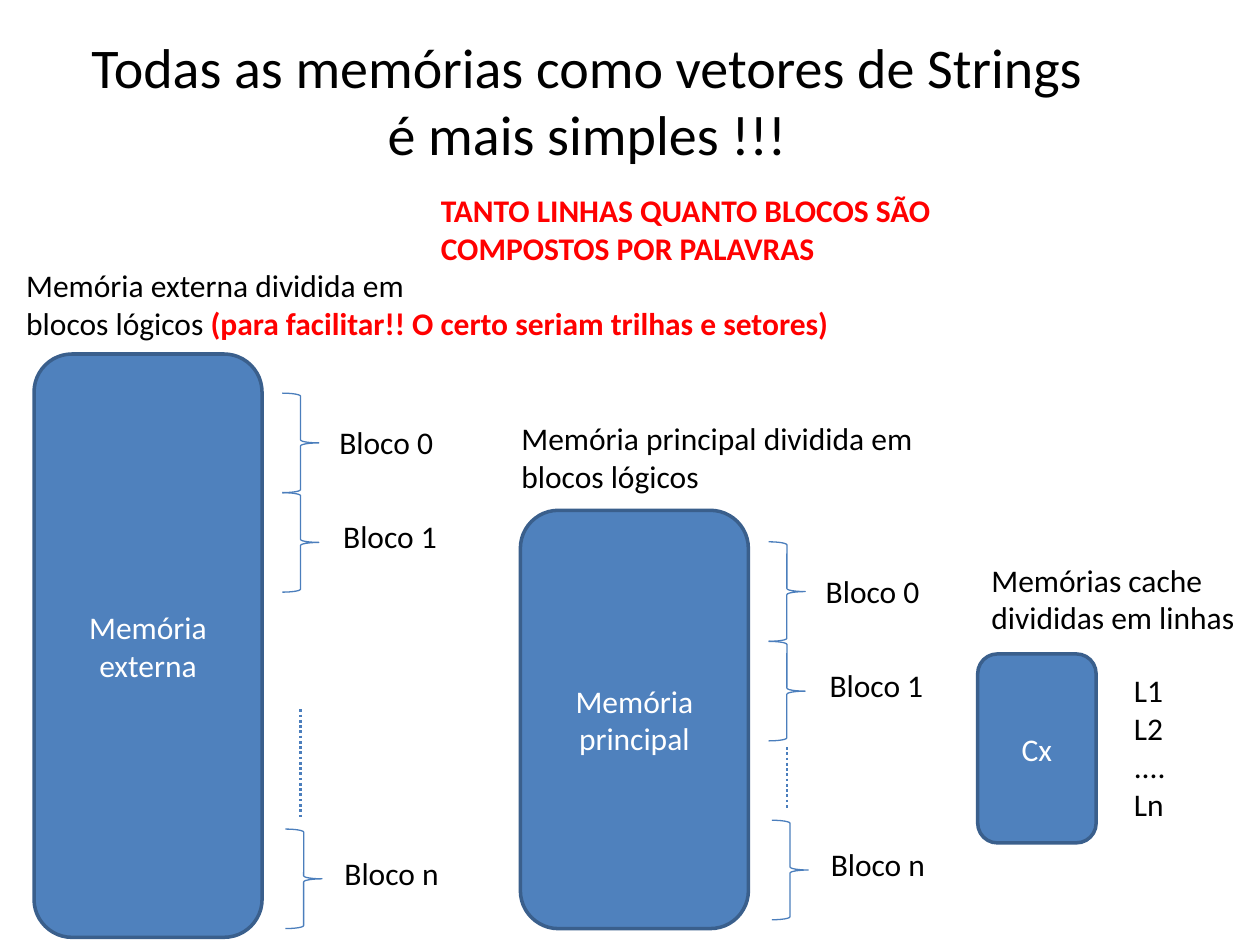
from dataclasses import dataclass

from lxml import etree
from pptx import Presentation
from pptx.dml.color import RGBColor
from pptx.enum.dml import MSO_LINE
from pptx.enum.shapes import MSO_CONNECTOR, MSO_SHAPE
from pptx.enum.text import MSO_ANCHOR, MSO_AUTO_SIZE, PP_ALIGN
from pptx.oxml.ns import qn
from pptx.util import Inches, Pt

ROUNDED = MSO_SHAPE.ROUNDED_RECTANGLE
BRACE = MSO_SHAPE.RIGHT_BRACE
STRAIGHT = MSO_CONNECTOR.STRAIGHT
DOTTED = MSO_LINE.ROUND_DOT
LEFT, CENTER = PP_ALIGN.LEFT, PP_ALIGN.CENTER
MIDDLE = MSO_ANCHOR.MIDDLE
GROW = MSO_AUTO_SIZE.SHAPE_TO_FIT_TEXT

BLACK, WHITE, RED = "000000", "FFFFFF", "FF0000"
BLUE, EDGE, ACCENT = "4F81BD", "3A5F8C", "4B7EBC"

WIDTH, HEIGHT = Inches(10), Inches(7.5)
COLUMNS, ROWS = 100, 75
BRACE_WIDTH, BLOCK_HEIGHT = 2.9, 7.9
LABEL_WIDTH, LABEL_HEIGHT = 9.5, 4


@dataclass(frozen=True)
class Span:
    text: str
    color: str = BLACK
    bold: bool = False
    size: int = 18


@dataclass(frozen=True)
class Box:
    col: float
    row: float
    cols: float
    rows: float


@dataclass(frozen=True)
class Caption:
    box: Box
    lines: list[list[Span]]
    align: PP_ALIGN = LEFT


@dataclass(frozen=True)
class Memory:
    name: str
    box: Box


@dataclass(frozen=True)
class BlockList:
    col: float
    first_row: float
    last_row: float
    dots_start: float
    dots_end: float


def plain(*texts: str, **style) -> list[list[Span]]:
    return [[Span(text, **style)] for text in texts]


def rgb(value: str) -> RGBColor:
    return RGBColor.from_string(value)


def x(col: float) -> int:
    return round(WIDTH * col / COLUMNS)


def y(row: float) -> int:
    return round(HEIGHT * row / ROWS)


def place(box: Box) -> tuple[int, int, int, int]:
    return x(box.col), y(box.row), x(box.cols), y(box.rows)


def apply(target: object, formats: dict) -> None:
    for attribute, value in formats.items():
        setattr(target, attribute, value)


def write(frame, lines: list[list[Span]], align: PP_ALIGN) -> None:
    for index, spans in enumerate(lines):
        paragraph = frame.add_paragraph() if index else frame.paragraphs[0]
        paragraph.alignment = align
        for span in spans:
            run = paragraph.add_run()
            run.text = span.text
            apply(run.font, {"name": "Calibri", "size": Pt(span.size), "bold": span.bold})
            run.font.color.rgb = rgb(span.color)


def stroke(line, color: str, width: float) -> None:
    line.color.rgb = rgb(color)
    line.width = Pt(width)


def draw_caption(slide, caption: Caption) -> None:
    frame = slide.shapes.add_textbox(*place(caption.box)).text_frame
    apply(frame, {"word_wrap": False, "auto_size": GROW})
    write(frame, caption.lines, caption.align)


def draw_memory(slide, memory: Memory) -> None:
    body = slide.shapes.add_shape(ROUNDED, *place(memory.box))
    body.shadow.inherit = False
    body.fill.solid()
    body.fill.fore_color.rgb = rgb(BLUE)
    stroke(body.line, EDGE, 2)
    apply(body.text_frame, {"word_wrap": True, "vertical_anchor": MIDDLE})
    write(body.text_frame, plain(memory.name, color=WHITE), CENTER)


def draw_block(slide, name: str, col: float, row: float, indent: float, drop: float) -> None:
    brace = slide.shapes.add_shape(BRACE, *place(Box(col, row, BRACE_WIDTH, BLOCK_HEIGHT)))
    brace.shadow.inherit = False
    brace.fill.background()
    stroke(brace.line, ACCENT, 0.75)
    label = Box(col + indent, row + drop, LABEL_WIDTH, LABEL_HEIGHT)
    draw_caption(slide, Caption(label, plain(name)))


def draw_blocks(slide, blocks: BlockList) -> None:
    draw_block(slide, "Bloco 0", blocks.col, blocks.first_row, 3.55, 1.9)
    draw_block(slide, "Bloco 1", blocks.col, blocks.first_row + BLOCK_HEIGHT, 3.85, 1.45)
    draw_block(slide, "Bloco n", blocks.col + 0.25, blocks.last_row, 3.7, 1.5)
    middle = x(blocks.col + BRACE_WIDTH / 2)
    dots = slide.shapes.add_connector(
        STRAIGHT, middle, y(blocks.dots_start), middle, y(blocks.dots_end)
    )
    stroke(dots.line, ACCENT, 1.5)
    dots.line.dash_style = DOTTED
    etree.SubElement(dots._element.spPr, qn("a:effectLst"))


CAPTIONS = [
    Caption(
        Box(5.9, 2.1, 81.4, 11.8),
        plain("Todas as memórias como vetores de Strings", "é mais simples !!!", size=32),
        CENTER,
    ),
    Caption(
        Box(34, 14.7, 41.8, 7.1),
        plain("TANTO LINHAS QUANTO BLOCOS SÃO ", "COMPOSTOS POR PALAVRAS", color=RED, bold=True),
    ),
    Caption(
        Box(1.1, 20.6, 66.3, 7.1),
        [
            [Span("Memória externa dividida em ")],
            [
                Span("blocos lógicos "),
                Span("(para facilitar!! O certo seriam trilhas e setores)", RED, True),
            ],
        ],
    ),
    Caption(
        Box(40.4, 32.8, 34, 7.1),
        plain("Memória principal dividida em ", "blocos lógicos"),
    ),
    Caption(Box(77.7, 44, 21.5, 7.1), plain("Memórias cache ", "divididas em linhas")),
    Caption(Box(89, 52.8, 4.5, 13.1), plain("L1", "L2", "....", "Ln")),
]

MEMORIES = [
    Memory("Memória externa", Box(2.7, 28.1, 18.1, 46.3)),
    Memory("Memória principal", Box(41.3, 40.5, 18.1, 33.2)),
    Memory("Cx", Box(77.6, 51.9, 9.4, 15)),
]

BLOCK_LISTS = [
    BlockList(22.4, 31.2, 65.8, 56.3, 65),
    BlockList(61, 43, 65.1, 59.3, 64.3),
]

presentation = Presentation()
apply(presentation, {"slide_width": WIDTH, "slide_height": HEIGHT})
slide = presentation.slides.add_slide(presentation.slide_layouts[6])

for draw, parts in (
    (draw_caption, CAPTIONS),
    (draw_memory, MEMORIES),
    (draw_blocks, BLOCK_LISTS),
):
    for part in parts:
        draw(slide, part)

presentation.save("out.pptx")
